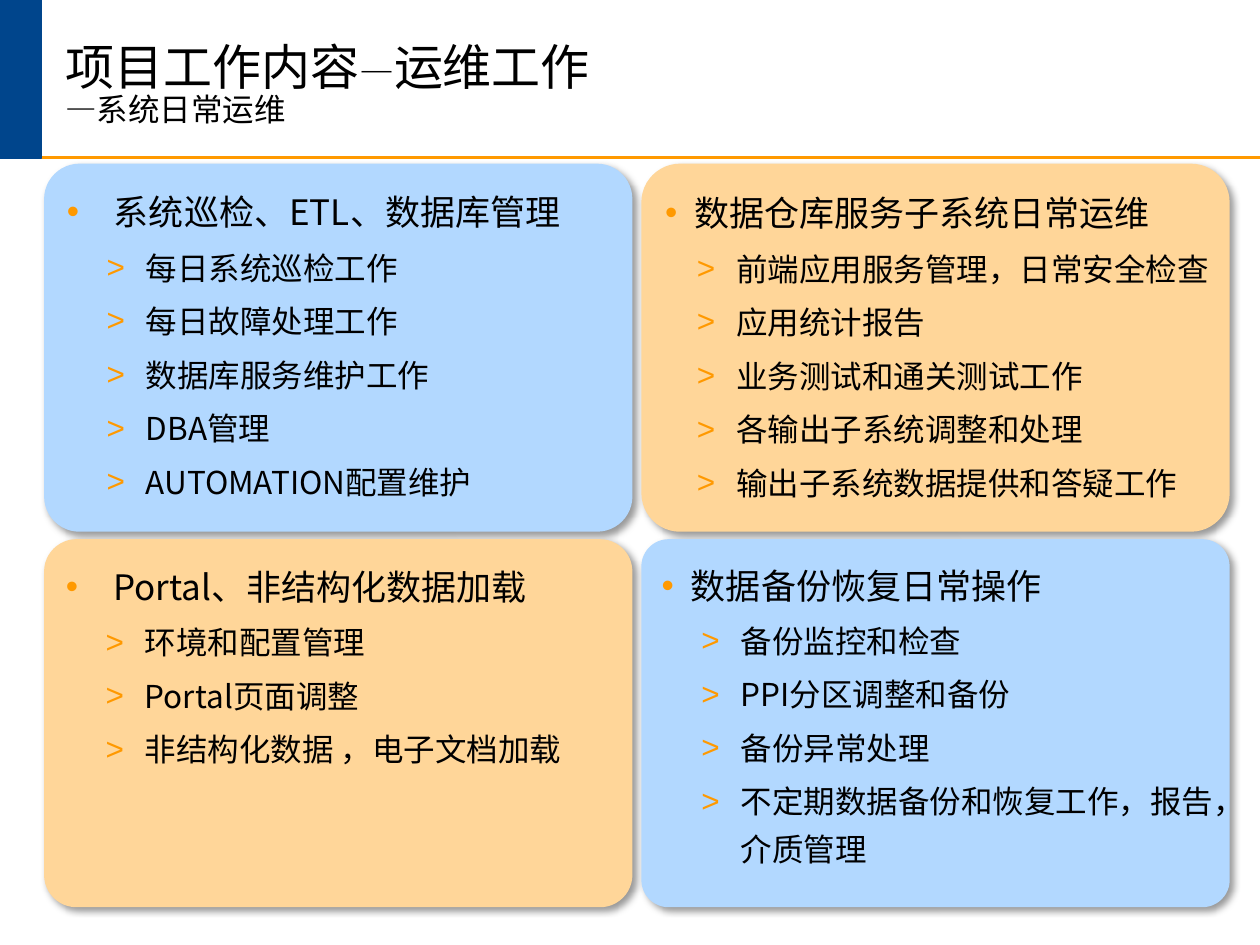
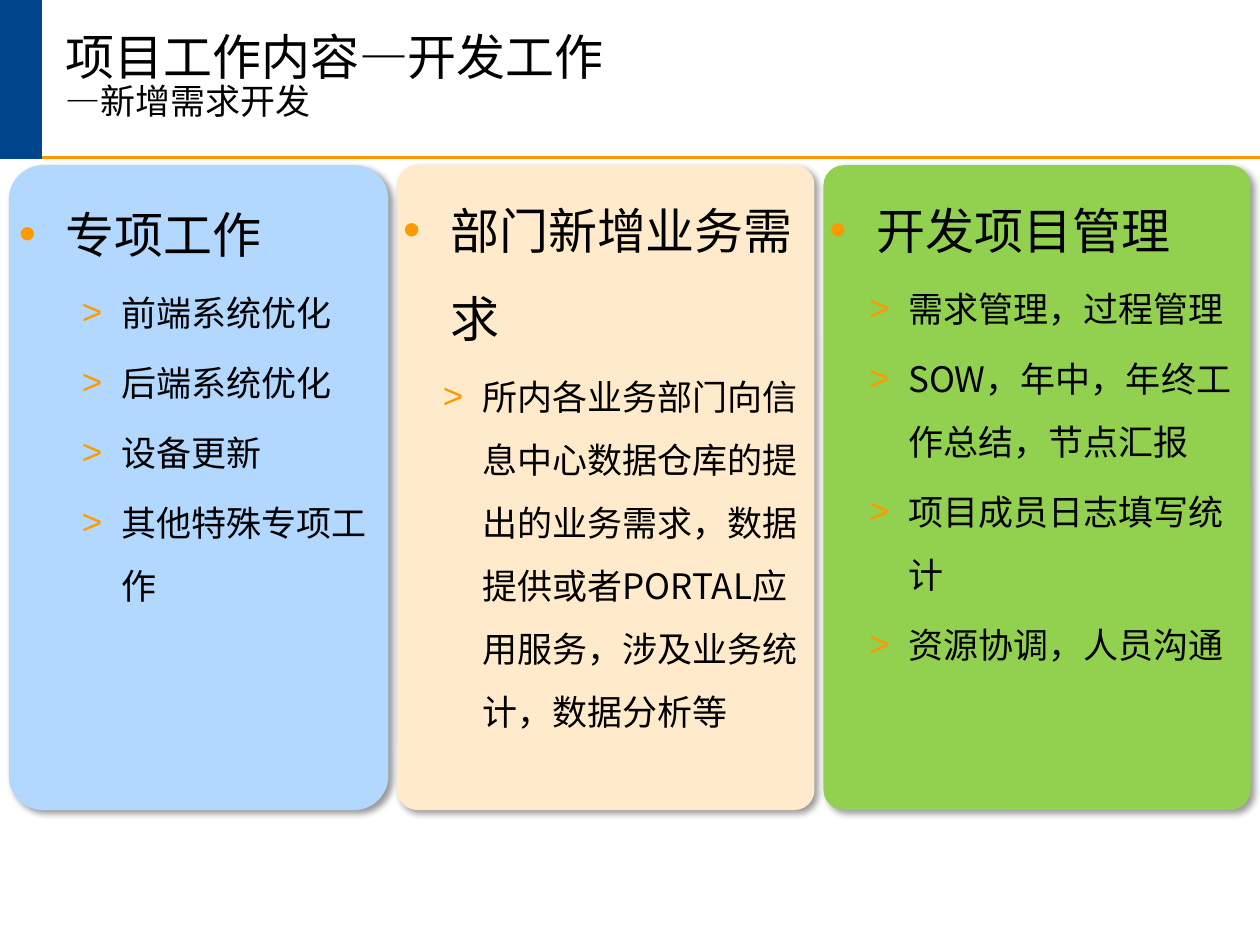
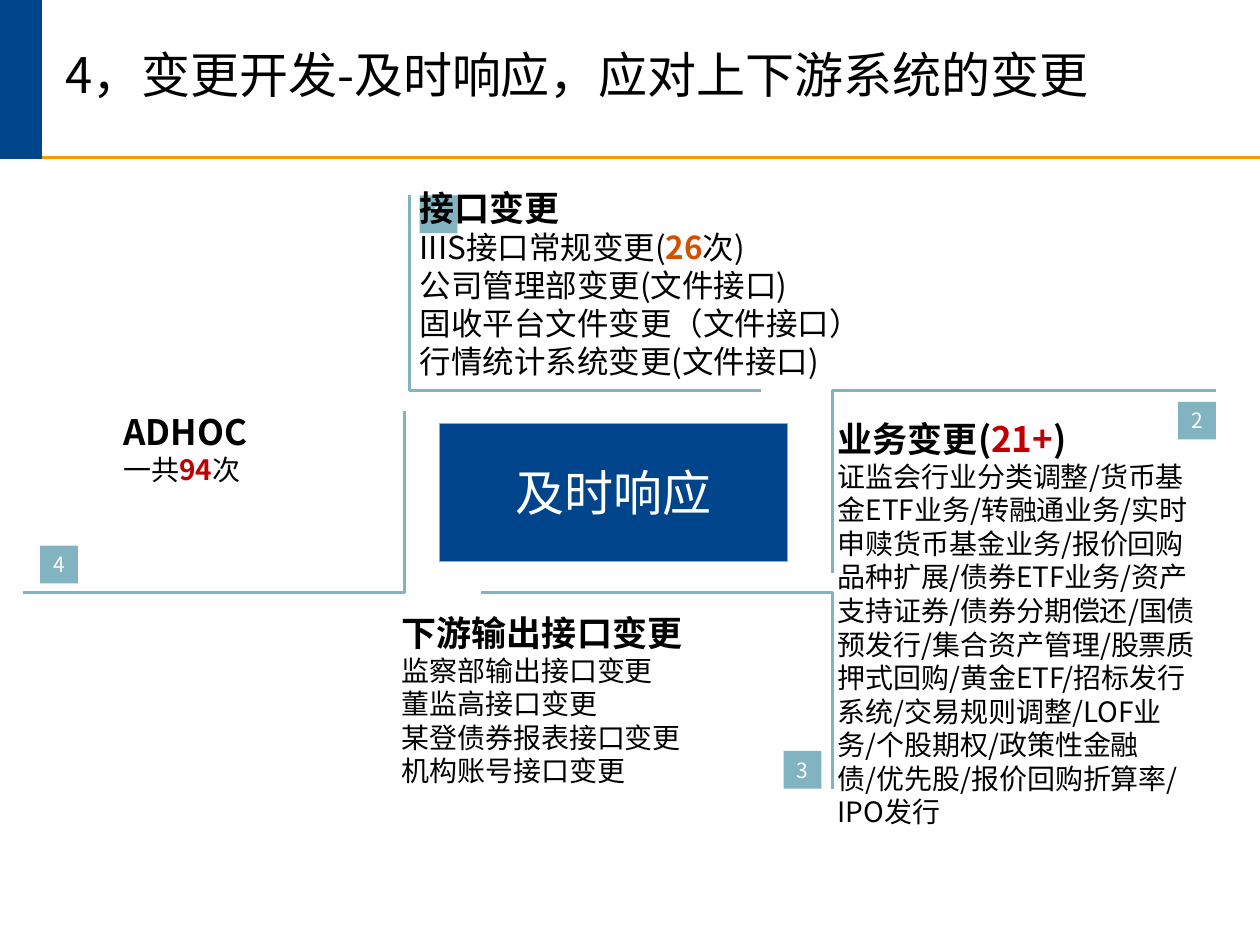
from dataclasses import dataclass

from lxml import etree
from pptx import Presentation
from pptx.dml.color import RGBColor
from pptx.enum import shapes, text
from pptx.oxml.ns import qn
from pptx.util import Cm, Pt


@dataclass(frozen=True)
class Theme:
    font: str = "Noto Sans CJK SC"
    bullet_font: str = "Arial"
    ink: str = "000000"
    white: str = "FFFFFF"
    navy: str = "00458C"
    orange: str = "FF9900"
    teal: str = "82B3C0"
    sky: str = "B2D8FF"
    peach: str = "FFD699"
    cream: str = "FFEBCC"
    green: str = "92D050"
    red: str = "C00000"
    rust: str = "D45000"
    title_size: int = 28
    heading_size: int = 20
    item_size: int = 18
    note_size: int = 16
    number_size: int = 12


THEME = Theme()
HEADER_HEIGHT = 3.18


@dataclass(frozen=True)
class CardStyle:
    """Text settings shared by the cards of one slide; insets in cm."""
    heading_size: int
    item_size: int
    line_spacing: float
    insets: tuple


QUADRANT = CardStyle(THEME.heading_size, THEME.item_size, 1.25, (0.25, 0.13, 0, 0.13))
COLUMN = CardStyle(THEME.title_size, THEME.heading_size, 1.5, (0, 0, 0, 0))


@dataclass(frozen=True)
class Card:
    fill: str
    corner: float
    heading_indent: float
    item_margin: float
    heading: str
    items: tuple


QUADRANTS = [
    [Card(THEME.sky, 0.096, 0.95, 1.59, "系统巡检、ETL、数据库管理",
          ("每日系统巡检工作", "每日故障处理工作", "数据库服务维护工作",
           "DBA管理", "AUTOMATION配置维护")),
     Card(THEME.peach, 0.105, 0.59, 1.43, "数据仓库服务子系统日常运维",
          ("前端应用服务管理，日常安全检查", "应用统计报告", "业务测试和通关测试工作",
           "各输出子系统调整和处理", "输出子系统数据提供和答疑工作"))],
    [Card(THEME.peach, 0.088, 0.95, 1.59, "Portal、非结构化数据加载",
          ("环境和配置管理", "Portal页面调整", "非结构化数据 ，电子文档加载")),
     Card(THEME.sky, 0.074, 0.59, 1.59, "数据备份恢复日常操作",
          ("备份监控和检查", "PPI分区调整和备份", "备份异常处理",
           "不定期数据备份和恢复工作，报告，介质管理"))],
]

COLUMNS = [
    (7.65, Card(THEME.sky, 0.09, 0.95, 2.06, "专项工作",
                ("前端系统优化", "后端系统优化", "设备更新", "其他特殊专项工作"))),
    (8.41, Card(THEME.cream, 0.048, 0.95, 1.59, "部门新增业务需求",
                ("所内各业务部门向信息中心数据仓库的提出的业务需求，"
                 "数据提供或者PORTAL应用服务，涉及业务统计，数据分析等",))),
    (8.61, Card(THEME.green, 0.048, 0.95, 1.59, "开发项目管理",
                ("需求管理，过程管理", "SOW，年中，年终工作总结，节点汇报",
                 "项目成员日志填写统计", "资源协调，人员沟通"))),
]

BRACKETS = [
    [(8.26, 3.94), (8.26, 7.87), (15.34, 7.87)],
    [(24.51, 7.87), (16.79, 7.87), (16.79, 11.56)],
    [(16.79, 15.9), (16.79, 11.94), (9.7, 11.94)],
    [(0.46, 11.94), (8.15, 11.94), (8.15, 8.28)],
]

NUMBER_CORNERS = [(8.46, 3.94), (23.75, 8.1), (15.8, 15.14), (0.81, 11.0)]

# Each note: box, body size, heading pieces, body lines. A (text, colour) piece is emphasised.
NOTES = [
    ((8.46, 3.76, 10.03, 4.7), THEME.item_size, ["接口变更"],
     [["IIIS接口常规变更(", ("26", THEME.rust), "次)"], ["公司管理部变更(文件接口)"],
      ["固收平台文件变更（文件接口）"], ["行情统计系统变更(文件接口)"]]),
    ((2.49, 8.28, 5.0, 2.24), THEME.note_size, ["ADHOC"],
     [["一共", ("94", THEME.red), "次"]]),
    ((8.1, 12.32, 8.81, 3.56), THEME.note_size, ["下游输出接口变更"],
     [["监察部输出接口变更"], ["董监高接口变更"], ["某登债券报表接口变更"], ["机构账号接口变更"]]),
    ((16.89, 8.41, 7.39, 8.38), THEME.note_size, ["业务变更(", ("21+", THEME.red), ")"],
     [["证监会行业分类调整/货币基金ETF业务/转融通业务/实时申赎货币基金业务/"
       "报价回购品种扩展/债券ETF业务/资产支持证券/债券分期偿还/国债预发行/"
       "集合资产管理/股票质押式回购/黄金ETF/招标发行系统/交易规则调整/LOF业务/"
       "个股期权/政策性金融债/优先股/报价回购折算率/IPO发行"]]),
]


def rgb(colour):
    return RGBColor.from_string(colour)


def add_element(parent, tag, **attributes):
    return etree.SubElement(parent, qn(tag), attributes)


def set_font(paragraph, size, colour=THEME.ink, bold=False):
    font = paragraph.font
    font.name = THEME.font
    font.size = Pt(size)
    font.bold = bold
    font.color.rgb = rgb(colour)
    defaults = paragraph._p.pPr.find(qn("a:defRPr"))
    add_element(defaults, "a:ea", typeface=THEME.font)


def set_bullet(paragraph, character, margin, indent):
    properties = paragraph._p.get_or_add_pPr()
    properties.set("marL", str(Cm(margin)))
    properties.set("indent", str(-Cm(indent)))
    colour = add_element(properties, "a:buClr")
    add_element(colour, "a:srgbClr", val=THEME.orange)
    add_element(properties, "a:buFont", typeface=THEME.bullet_font)
    add_element(properties, "a:buChar", char=character)


def set_frame(shape, insets=(0, 0, 0, 0), anchor=text.MSO_ANCHOR.TOP, wrap=True):
    frame = shape.text_frame
    frame.word_wrap = wrap
    frame.vertical_anchor = anchor
    (frame.margin_left, frame.margin_top,
     frame.margin_right, frame.margin_bottom) = map(Cm, insets)
    return frame


def next_paragraph(frame):
    """Return the empty first paragraph, or a new one once it has text."""
    first = frame.paragraphs[0]
    return frame.add_paragraph() if first.runs else first


def add_box(slide, kind, box, fill, line=None, line_width=1):
    shape = slide.shapes.add_shape(kind, *map(Cm, box))
    shape.shadow.inherit = False
    shape.fill.solid()
    shape.fill.fore_color.rgb = rgb(fill)
    if line:
        shape.line.color.rgb = rgb(line)
        shape.line.width = Pt(line_width)
    else:
        shape.line.fill.background()
    return shape


def add_soft_shadow(shape):
    effects = shape._element.spPr.find(qn("a:effectLst"))
    shadow = add_element(effects, "a:outerShdw", blurRad=str(Pt(4)), dist=str(Pt(3)),
                         dir="2700000", algn="tl", rotWithShape="0")
    colour = add_element(shadow, "a:srgbClr", val=THEME.ink)
    add_element(colour, "a:alpha", val="40000")


def add_header(slide, title_box, title_lines):
    """Draw the rule, corner band and title; a line is a list of (text, size)."""
    rule = slide.shapes.add_connector(shapes.MSO_CONNECTOR.STRAIGHT, 0, Cm(HEADER_HEIGHT),
                                      Cm(25.4), Cm(HEADER_HEIGHT))
    rule.line.color.rgb = rgb(THEME.orange)
    rule.line.width = Pt(1.5)
    add_element(rule._element.spPr, "a:effectLst")
    add_box(slide, shapes.MSO_SHAPE.RECTANGLE, (0, 0, 0.84, HEADER_HEIGHT),
            THEME.navy, THEME.navy)

    title = slide.shapes.add_textbox(*map(Cm, title_box))
    frame = set_frame(title, (0.25, 0.13, 0.25, 0.13), text.MSO_ANCHOR.MIDDLE)
    paragraph = frame.paragraphs[0]
    paragraph.line_spacing = 0.85
    set_font(paragraph, THEME.title_size)
    for number, pieces in enumerate(title_lines):
        if number:
            paragraph.add_line_break()
        for words, size in pieces:
            run = paragraph.add_run()
            run.text = words
            run.font.size = Pt(size)


def add_card(slide, box, card, style):
    shape = add_box(slide, shapes.MSO_SHAPE.ROUNDED_RECTANGLE, box, card.fill)
    shape.adjustments[0] = card.corner
    add_soft_shadow(shape)
    frame = set_frame(shape, style.insets)

    def add_line(words, size, character, margin, indent):
        paragraph = next_paragraph(frame)
        paragraph.add_run().text = words
        paragraph.alignment = text.PP_ALIGN.LEFT
        paragraph.line_spacing = style.line_spacing
        set_bullet(paragraph, character, margin, indent)
        set_font(paragraph, size)
        return paragraph

    add_line(card.heading, style.heading_size, "•", card.heading_indent, card.heading_indent)
    for item in card.items:
        paragraph = add_line(item, style.item_size, ">", card.item_margin, 0.79)
        paragraph.space_before = Pt(style.item_size * 0.2)


def add_label(slide, box, words, size, fill, line=None, wrap=True):
    shape = add_box(slide, shapes.MSO_SHAPE.RECTANGLE, box, fill, line, 0.5)
    paragraph = set_frame(shape, anchor=text.MSO_ANCHOR.MIDDLE, wrap=wrap).paragraphs[0]
    paragraph.add_run().text = words
    paragraph.alignment = text.PP_ALIGN.CENTER
    set_font(paragraph, size, THEME.white)


def add_bracket(slide, points):
    start, *others = [(Cm(x), Cm(y)) for x, y in points]
    builder = slide.shapes.build_freeform(*start)
    builder.add_line_segments(others, close=False)
    bracket = builder.convert_to_shape()
    bracket.shadow.inherit = False
    bracket.fill.background()
    bracket.line.color.rgb = rgb(THEME.teal)
    bracket.line.width = Pt(1.75)


def add_note(slide, box, size, heading, lines):
    frame = set_frame(slide.shapes.add_textbox(*map(Cm, box)))
    for pieces in [heading, *lines]:
        paragraph = next_paragraph(frame)
        is_heading = pieces is heading
        set_font(paragraph, THEME.heading_size if is_heading else size, bold=is_heading)
        for piece in pieces:
            run = paragraph.add_run()
            if isinstance(piece, str):
                run.text = piece
            else:
                run.text, colour = piece
                run.font.bold = True
                run.font.color.rgb = rgb(colour)


def build_operations(slide):
    add_header(slide, (1.07, 0.33, 15.24, 2.84),
               [[("项目工作内容", 28), ("—", 20), ("运维工作", 28)], [("—系统日常运维", 18)]])
    width, height = 11.86, 7.42
    for row, cards in enumerate(QUADRANTS):
        for column, card in enumerate(cards):
            box = (0.89 + column * (width + 0.18), 3.3 + row * (height + 0.15), width, height)
            add_card(slide, box, card, QUADRANT)


def build_development(slide):
    add_header(slide, (1.07, 0, 15.24, HEADER_HEIGHT),
               [[("项目工作内容—开发工作", 28)], [("—新增需求开发", 20)]])
    left = 0.18
    for width, card in COLUMNS:
        add_card(slide, (left, 3.33, width, 13), card, COLUMN)
        left += width + 0.18


def build_changes(slide):
    add_header(slide, (1.07, 0, 23.7, HEADER_HEIGHT),
               [[("4，变更开发-及时响应，应对上下游系统的变更", 28)]])
    for points in BRACKETS:
        add_bracket(slide, points)
    add_label(slide, (8.86, 8.53, 7.01, 2.79), "及时响应", THEME.title_size,
              THEME.navy, THEME.teal)
    for number, corner in enumerate(NUMBER_CORNERS, 1):
        add_label(slide, (*corner, 0.76, 0.76), str(number), THEME.number_size,
                  THEME.teal, wrap=False)
    for note in NOTES:
        add_note(slide, *note)


def main():
    presentation = Presentation()
    presentation.slide_width = Cm(25.4)
    presentation.slide_height = Cm(19.05)
    blank = presentation.slide_layouts[6]
    for build in (build_operations, build_development, build_changes):
        build(presentation.slides.add_slide(blank))
    presentation.save("out.pptx")


if __name__ == "__main__":
    main()
